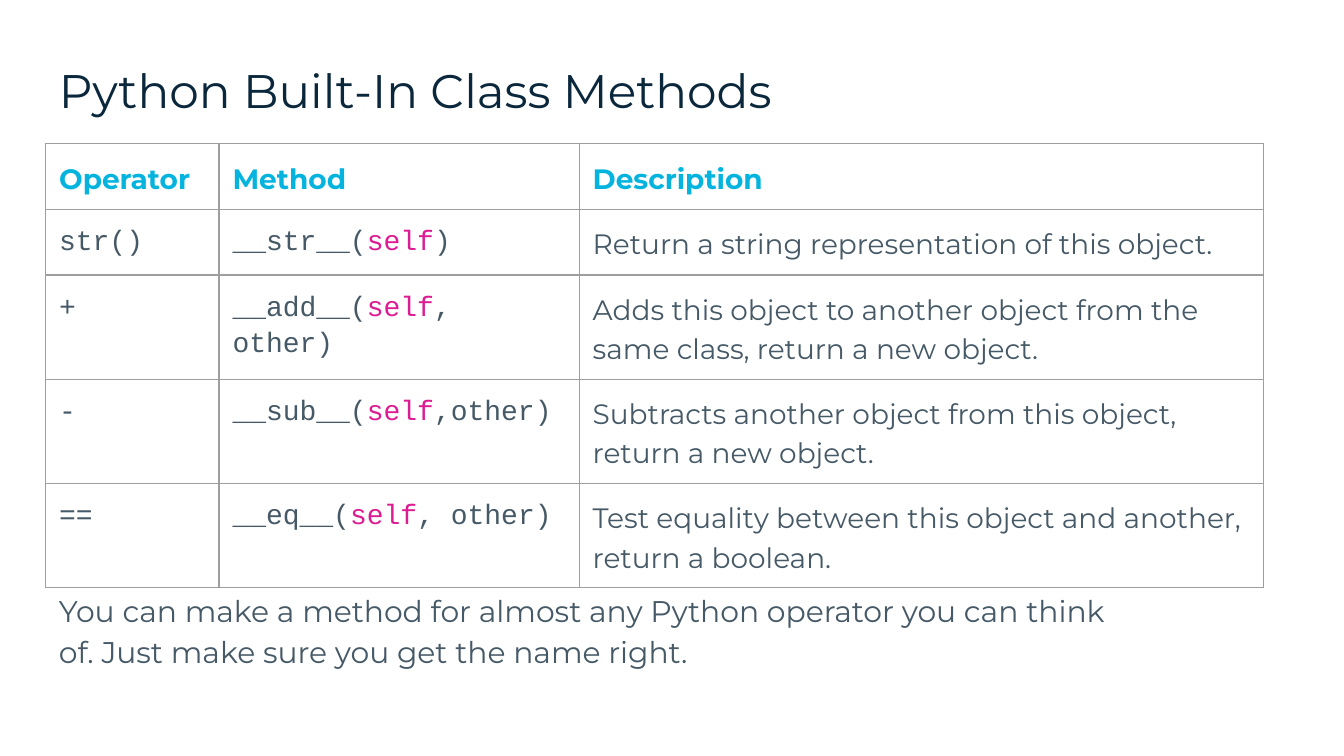
"""Build a slide that lists Python's built-in class methods in a table."""
from lxml.etree import SubElement
from pptx import Presentation
from pptx.dml.color import RGBColor
from pptx.enum.text import MSO_ANCHOR
from pptx.oxml.ns import qn
from pptx.util import Inches, Pt

NAVY = RGBColor(0x0A, 0x27, 0x3C)
CYAN = RGBColor(0x04, 0xB4, 0xDE)
SLATE = RGBColor(0x46, 0x59, 0x66)
PINK = RGBColor(0xDD, 0x1C, 0x93)
GRAY = RGBColor(0x9E, 0x9E, 0x9E)
BODY_FONT, CODE_FONT = "Montserrat", "Courier New"

TITLE = "Python Built-In Class Methods"
HEADERS = ("Operator", "Method", "Description")
METHODS = [
    ("str()", "__str__(self)", "Return a string representation of this object."),
    ("+", "__add__(self, other)",
     "Adds this object to another object from the same class, return a new object."),
    ("-", "__sub__(self,other)",
     "Subtracts another object from this object, return a new object."),
    ("==", "__eq__(self, other)",
     "Test equality between this object and another, return a boolean."),
]
NOTE = ("You can make a method for almost any Python operator you can think of. "
        "Just make sure you get the name right.")
LEFT = 0.34
COLUMN_WIDTHS = (1.29, 2.68, 5.09)
ROW_HEIGHTS = (0.46, 0.46, 0.56, 0.57, 0.59)


def add_run(paragraph, text, size, color, font=BODY_FONT, bold=False):
    run = paragraph.add_run()
    run.text = text
    run.font.size = Pt(size)
    run.font.name = font
    run.font.bold = bold
    run.font.color.rgb = color


def space_paragraph(paragraph):
    paragraph.line_spacing = 1.15
    paragraph.space_after = Pt(10)


def set_margins(box):
    box.margin_left = box.margin_right = Inches(0.1)
    box.margin_top = box.margin_bottom = Inches(0.1)


def add_text(slide, top, width, height, text, size, color):
    shape = slide.shapes.add_textbox(
        Inches(LEFT), Inches(top), Inches(width), Inches(height))
    frame = shape.text_frame
    frame.word_wrap = True
    set_margins(frame)
    add_run(frame.paragraphs[0], text, size, color)
    return frame


def style_cell(cell):
    set_margins(cell)
    space_paragraph(cell.text_frame.paragraphs[0])
    properties = cell._tc.get_or_add_tcPr()
    for side in ("a:lnL", "a:lnR", "a:lnT", "a:lnB"):
        line = SubElement(properties, qn(side), w=str(Pt(0.75)))
        fill = SubElement(line, qn("a:solidFill"))
        SubElement(fill, qn("a:srgbClr"), val=str(GRAY))
    cell.fill.background()


def fill_cell(paragraph, row, column, text):
    if row == 0:
        add_run(paragraph, text, 15, CYAN, bold=True)
    elif column == 2:
        add_run(paragraph, text, 15, SLATE)
    else:
        for part in text.partition("self"):
            if part:
                color = PINK if part == "self" else SLATE
                add_run(paragraph, part, 15, color, CODE_FONT)


presentation = Presentation()
presentation.slide_width = Inches(10)
presentation.slide_height = Inches(10 * 9 / 16)
slide = presentation.slides.add_slide(presentation.slide_layouts[6])

title = add_text(slide, 0.35, 9.32, 0.63, TITLE, 25.2, NAVY)
title.vertical_anchor = MSO_ANCHOR.MIDDLE

rows = [HEADERS, *METHODS]
table = slide.shapes.add_table(
    len(rows), len(HEADERS), Inches(LEFT), Inches(1.07),
    Inches(sum(COLUMN_WIDTHS)), Inches(sum(ROW_HEIGHTS))).table
table.horz_banding = False
for column, width in zip(table.columns, COLUMN_WIDTHS):
    column.width = Inches(width)
for table_row, height in zip(table.rows, ROW_HEIGHTS):
    table_row.height = Inches(height)
for row, texts in enumerate(rows):
    for column, text in enumerate(texts):
        cell = table.cell(row, column)
        style_cell(cell)
        fill_cell(cell.text_frame.paragraphs[0], row, column, text)

note = add_text(slide, 4.27, 8.19, 0.78, NOTE, 16, SLATE)
space_paragraph(note.paragraphs[0])

presentation.save("out.pptx")
